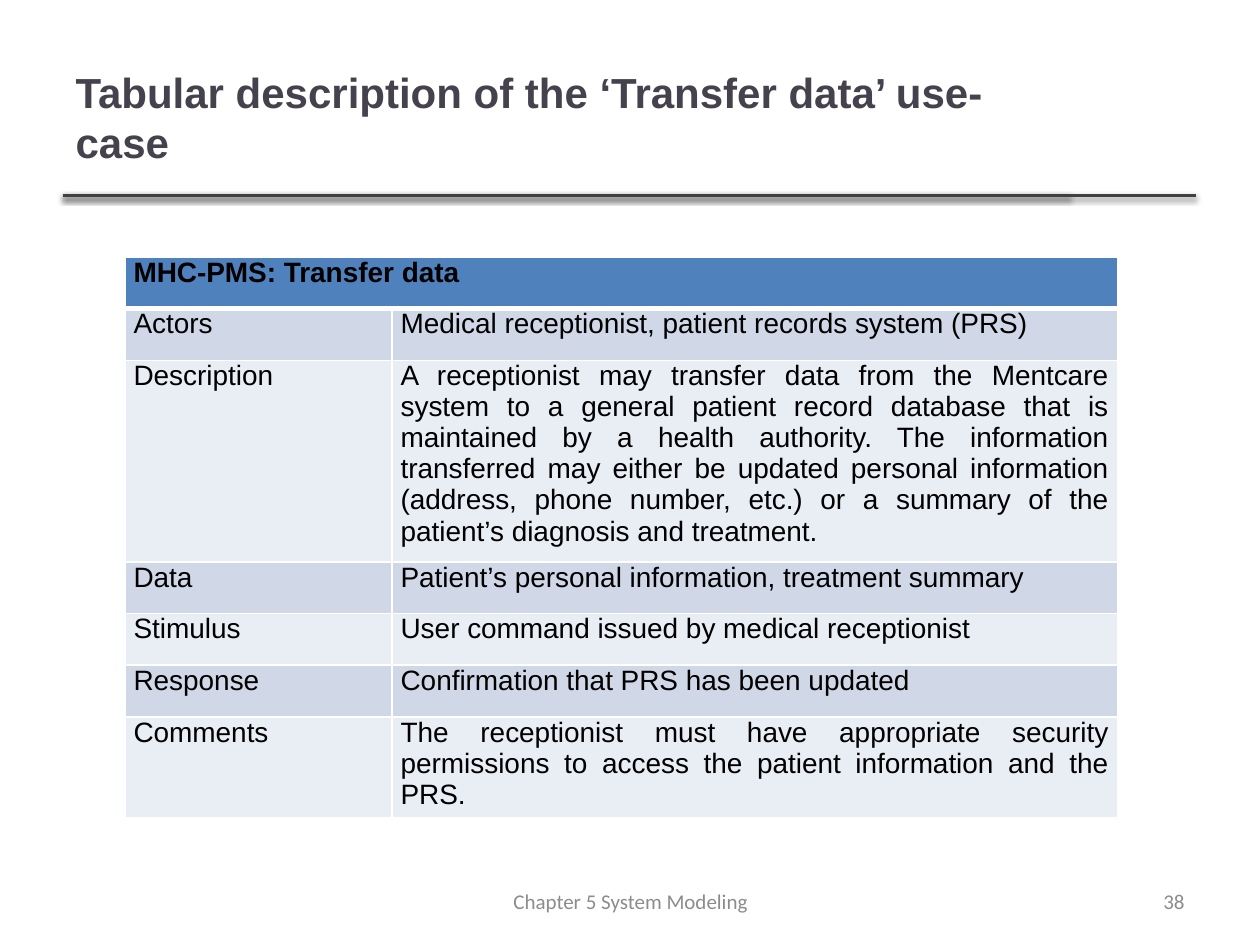
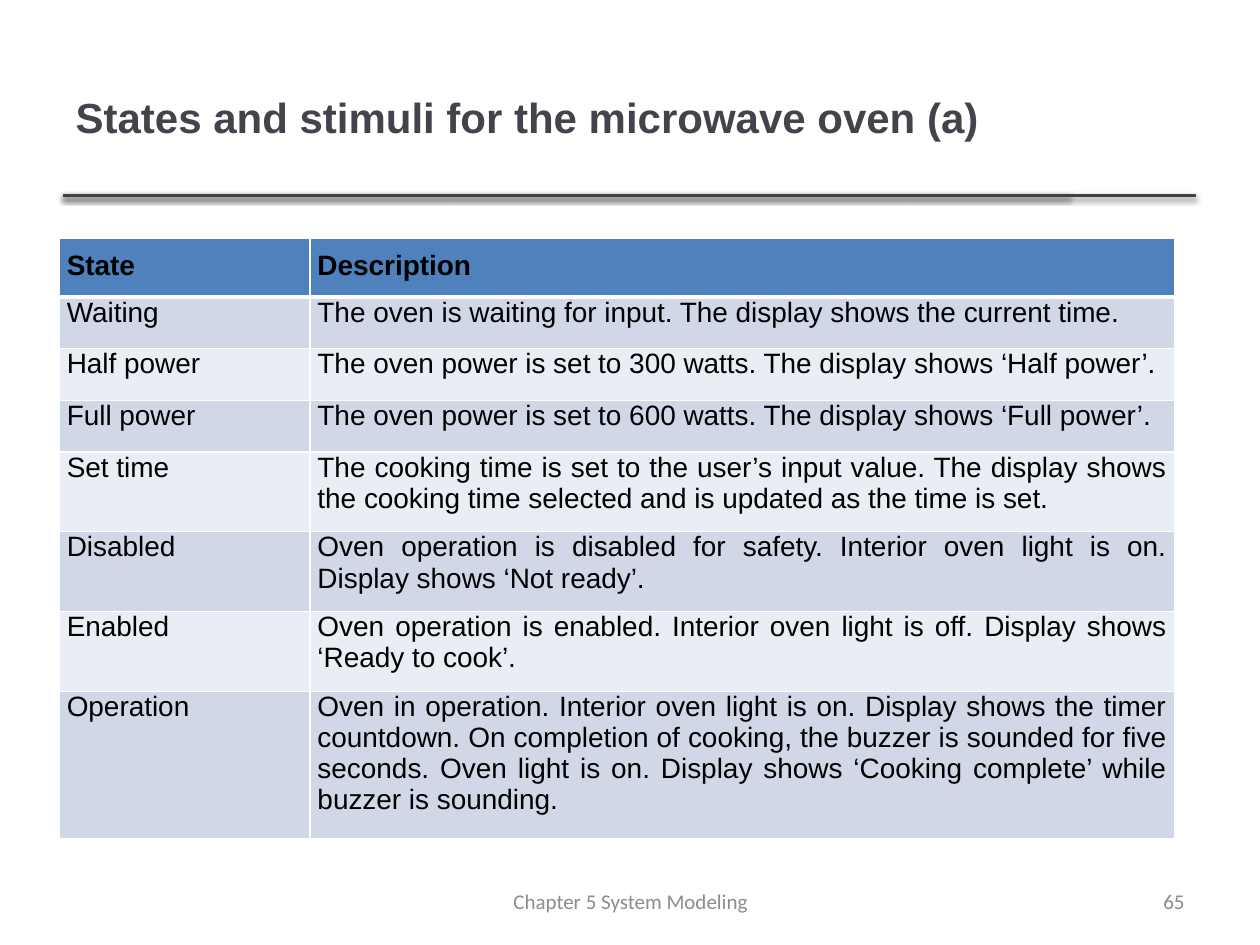
from lxml import etree
from pptx import Presentation
from pptx.dml.color import RGBColor
from pptx.enum.shapes import MSO_CONNECTOR
from pptx.enum.text import MSO_ANCHOR, MSO_AUTO_SIZE, PP_ALIGN
from pptx.oxml.ns import qn
from pptx.util import Inches, Pt

LEFT, CENTER, RIGHT, JUSTIFY = PP_ALIGN.LEFT, PP_ALIGN.CENTER, PP_ALIGN.RIGHT, PP_ALIGN.JUSTIFY
MIDDLE = MSO_ANCHOR.MIDDLE
NO_FIT = MSO_AUTO_SIZE.NONE
STRAIGHT = MSO_CONNECTOR.STRAIGHT

TRANSFER_ROWS = [
    ("MHC-PMS: Transfer data", ""),
    ("Actors", "Medical receptionist, patient records system (PRS)"),
    ("Description",
     "A receptionist may transfer data from the Mentcare system to a general patient record "
     "database that is maintained by a health authority. The information transferred may either "
     "be updated personal information (address, phone number, etc.) or a summary of the "
     "patient’s diagnosis and treatment."),
    ("Data", "Patient’s personal information, treatment summary"),
    ("Stimulus", "User command issued by medical receptionist"),
    ("Response", "Confirmation that PRS has been updated"),
    ("Comments",
     "The receptionist must have appropriate security permissions to access the patient "
     "information and the PRS."),
]

OVEN_ROWS = [
    ("State", "Description"),
    ("Waiting", "The oven is waiting for input. The display shows the current time."),
    ("Half power", "The oven power is set to 300 watts. The display shows ‘Half power’."),
    ("Full power", "The oven power is set to 600 watts. The display shows ‘Full power’."),
    ("Set time",
     "The cooking time is set to the user’s input value. The display shows the cooking time "
     "selected and is updated as the time is set."),
    ("Disabled",
     "Oven operation is disabled for safety. Interior oven light is on. "
     "Display shows ‘Not ready’."),
    ("Enabled",
     "Oven operation is enabled. Interior oven light is off. Display shows ‘Ready to cook’."),
    ("Operation",
     "Oven in operation. Interior oven light is on. Display shows the timer countdown. "
     "On completion of cooking, the buzzer is sounded for five seconds. Oven light is on. "
     "Display shows ‘Cooking complete’ while buzzer is sounding."),
]


def rgb(value):
    """Return the colour for a hex string."""
    return RGBColor.from_string(value)


def add_color(parent, value):
    """Append a hex colour element to an XML parent and return it."""
    return etree.SubElement(parent, qn("a:srgbClr"), val=str(rgb(value)))


class Deck:
    """Hold the shared style and the slide being built."""

    TITLE, RULE, FOOTER, INK = "46424D", "404040", "8C8C8C", "000000"
    HEADER, BANDS, BORDER = "4F81BD", ("E9EDF4", "D0D8E8"), "FFFFFF"
    ROW_HEIGHT = 0.41

    def __init__(self):
        """Start an empty 10 by 7.5 inch presentation."""
        self.prs = Presentation()
        self.prs.slide_width, self.prs.slide_height = Inches(10), Inches(7.5)
        self.layout = self.prs.slide_layouts[5]
        self.s = None

    def style(self, tf, font, size, color, align, bold=False):
        """Format every paragraph and run of a text frame."""
        for p in tf.paragraphs:
            p.alignment = align
            for r in p.runs:
                r.font.name, r.font.size, r.font.bold = font, Pt(size), bold
                r.font.color.rgb = rgb(color)

    def add_slide(self, title, number):
        """Add a slide with its title, rules and footers."""
        self.s = self.prs.slides.add_slide(self.layout)
        for right in (8.49, 9.49):
            self.rule(0.5, right, 1.55)
        self.title(title)
        self.footer("Chapter 5 System Modeling", 3.42, 3.17, CENTER)
        self.footer(str(number), 7.17, 2.33, RIGHT)

    def title(self, text):
        """Place and format the title placeholder."""
        sp = self.s.shapes.title
        sp.left, sp.top, sp.width, sp.height = map(Inches, (0.5, 0.3, 7.98, 1.25))
        tf = sp.text_frame
        tf.text = text
        tf.auto_size, tf.word_wrap, tf.vertical_anchor = NO_FIT, True, MIDDLE
        self.style(tf, "Arial", 24, self.TITLE, LEFT, bold=True)

    def rule(self, left, right, top):
        """Draw a horizontal rule with a soft shadow below it."""
        line = self.s.shapes.add_connector(STRAIGHT, *map(Inches, (left, top, right, top)))
        line.line.color.rgb = rgb(self.RULE)
        line.line.width = Pt(2)
        effects = etree.SubElement(line._element.spPr, qn("a:effectLst"))
        shadow = etree.SubElement(
            effects, qn("a:outerShdw"), blurRad=str(Pt(3.1)), dist=str(Pt(1.6)),
            dir="5400000", rotWithShape="0")
        etree.SubElement(add_color(shadow, self.INK), qn("a:alpha"), val="38000")

    def footer(self, text, left, width, align):
        """Add a footer text at the bottom of the slide."""
        sp = self.s.shapes.add_textbox(*map(Inches, (left, 6.95, width, 0.4)))
        tf = sp.text_frame
        tf.text = text
        tf.word_wrap, tf.vertical_anchor = True, MIDDLE
        self.style(tf, "Calibri", 12, self.FOOTER, align)

    def borders(self, cell, row):
        """Draw white cell borders, thicker under the header row."""
        tc_pr = cell._tc.get_or_add_tcPr()
        widths = {"L": 1, "R": 1, "T": 3 if row == 1 else 1, "B": 3 if row == 0 else 1}
        for side, width in widths.items():
            ln = etree.SubElement(tc_pr, qn(f"a:ln{side}"), w=str(Pt(width)))
            add_color(etree.SubElement(ln, qn("a:solidFill")), self.BORDER)

    def table(self, rows, left, top, widths, side, header_top=0, bottom=0, merge_header=False):
        """Add a two-column table with a header row and banded body rows."""
        frame = self.s.shapes.add_table(
            len(rows), len(widths), Inches(left), Inches(top),
            Inches(sum(widths)), Inches(self.ROW_HEIGHT * len(rows)))
        table = frame.table
        table.horz_banding = False
        for column, width in zip(table.columns, widths):
            column.width = Inches(width)
        for i, texts in enumerate(rows):
            table.rows[i].height = Inches(self.ROW_HEIGHT)
            for j, text in enumerate(texts):
                cell = table.cell(i, j)
                cell.margin_left = cell.margin_right = Inches(side)
                cell.margin_top = Inches(header_top if i == 0 else 0)
                cell.margin_bottom = Inches(bottom)
                self.borders(cell, i)
                cell.fill.solid()
                cell.fill.fore_color.rgb = rgb(self.BANDS[i % 2] if i else self.HEADER)
                cell.text_frame.text = text
                self.style(cell.text_frame, "Arial", 16, self.INK, JUSTIFY, bold=i == 0)
        if merge_header:
            table.cell(0, 0).merge(table.cell(0, len(widths) - 1))


def main():
    """Build both slides and save the deck."""
    deck = Deck()
    deck.add_slide("Tabular description of the ‘Transfer data’ use-case", 38)
    deck.table(TRANSFER_ROWS, 0.99, 2.04, (2.12, 5.76), side=0.07, merge_header=True)
    deck.add_slide("States and stimuli for the microwave oven (a)", 65)
    deck.table(OVEN_ROWS, 0.47, 1.89, (1.99, 6.86), side=0.06, header_top=0.1, bottom=0.1)
    deck.prs.save("out.pptx")


if __name__ == "__main__":
    main()
